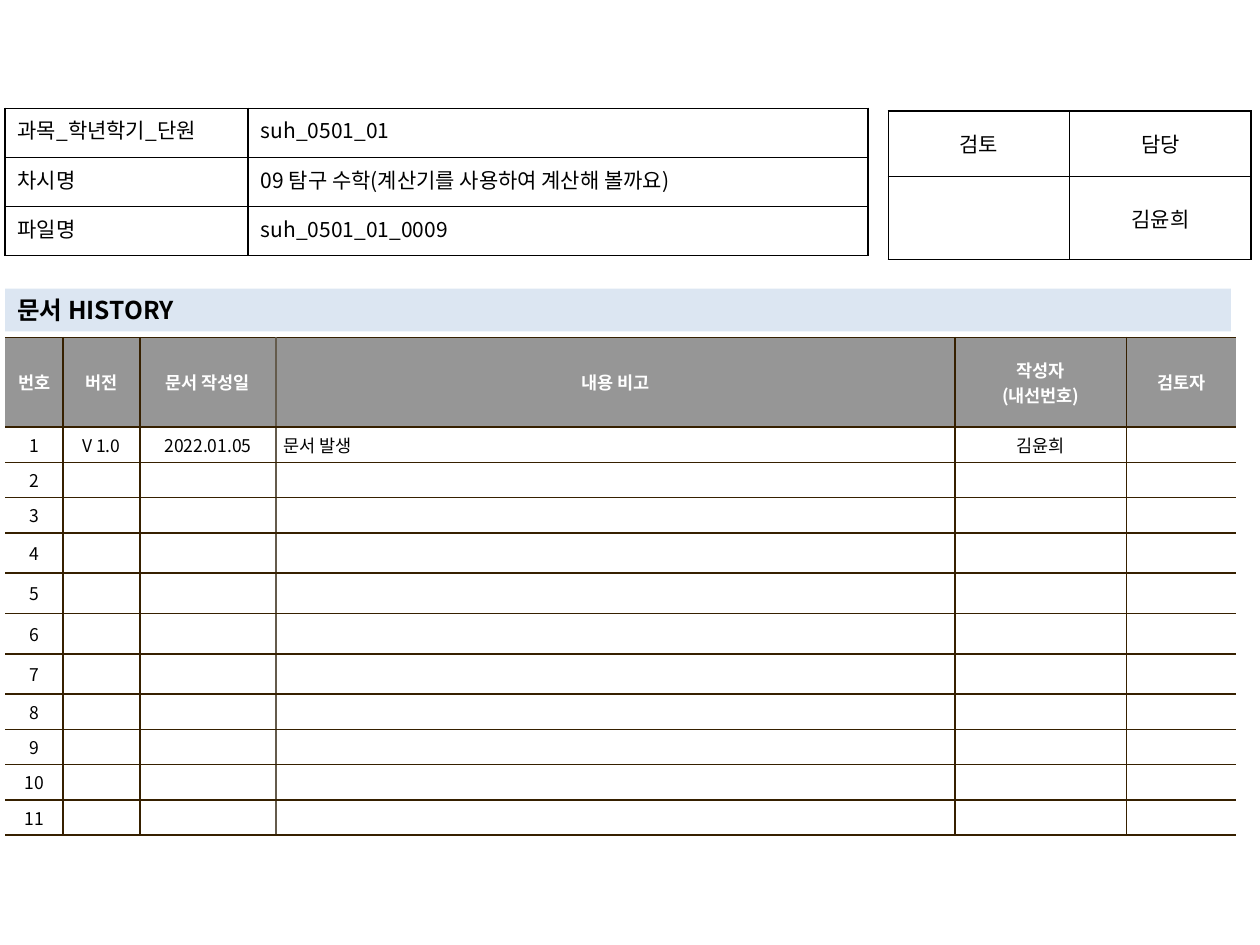
from lxml.etree import SubElement
from pptx import Presentation
from pptx.dml.color import RGBColor
from pptx.enum.shapes import MSO_SHAPE
from pptx.enum.text import MSO_ANCHOR as Anchor, PP_ALIGN as Align
from pptx.oxml.ns import qn
from pptx.oxml.xmlchemy import OxmlElement
from pptx.util import Inches, Pt

FONT = "Noto Sans CJK KR"
COLORS = {
    "black": "000000", "white": "FFFFFF", "header": "969696",
    "banner": "DCE6F2", "brown": "362000", "taupe": "645B4C",
}

BANNER = "문서 HISTORY"
LESSON = [
    ("과목_학년학기_단원", "suh_0501_01"),
    ("차시명", "09 탐구 수학(계산기를 사용하여 계산해 볼까요)"),
    ("파일명", "suh_0501_01_0009"),
]
APPROVAL = [("검토", "담당"), ("", "김윤희")]
HISTORY = [
    ("번호", "버전", "문서 작성일", "내용 비고", "작성자\n(내선번호)", "검토자"),
    ("1", "V 1.0", "2022.01.05", "문서 발생", "김윤희", ""),
] + [(str(number), "", "", "", "", "") for number in range(2, 12)]

LESSON_COLUMNS = [1.93, 4.92]
APPROVAL_COLUMNS = [1.44, 1.44]
HISTORY_COLUMNS = [0.46, 0.61, 1.08, 5.39, 1.36, 0.87]
LESSON_ROWS = [0.39] * 3
APPROVAL_ROWS = [0.52, 0.66]
HISTORY_ROWS = [0.71] + [0.28] * 3 + [0.32] * 4 + [0.28] * 4
NOTE_COLUMN = 3


def rgb(name):
    return RGBColor.from_string(COLORS[name])


def write(frame, text, size=12, color="black", bold=False, align=Align.LEFT):
    frame.word_wrap = True
    for index, line in enumerate(text.split("\n")):
        paragraph = frame.add_paragraph() if index else frame.paragraphs[0]
        paragraph.alignment = align
        if not line:
            paragraph._p.get_or_add_endParaRPr().set("sz", str(size * 100))
            continue
        run = paragraph.add_run()
        run.text = line
        run.font.size = Pt(size)
        run.font.bold = bold
        run.font.name = FONT
        run.font.color.rgb = rgb(color)
        SubElement(run._r.get_or_add_rPr(), qn("a:ea")).set("typeface", FONT)


def set_borders(cell, left, right, top, bottom):
    properties = cell._tc.get_or_add_tcPr()
    sides = zip(("a:lnL", "a:lnR", "a:lnT", "a:lnB"), (left, right, top, bottom))
    for position, (tag, color) in enumerate(sides):
        line = OxmlElement(tag)
        line.set("w", str(Pt(1)))
        if color:
            fill = SubElement(line, qn("a:solidFill"))
            SubElement(fill, qn("a:srgbClr")).set("val", COLORS[color])
        else:
            SubElement(line, qn("a:noFill"))
        properties.insert(position, line)


def add_grid(slide, left, top, columns, rows, content, style):
    frame = slide.shapes.add_table(
        len(rows), len(columns), Inches(left), Inches(top),
        Inches(sum(columns)), Inches(sum(rows)))
    table = frame.table
    table.first_row = table.horz_banding = False
    for column, width in zip(table.columns, columns):
        column.width = Inches(width)
    for row, height in zip(table.rows, rows):
        row.height = Inches(height)
    for row, texts in enumerate(content):
        for column, text in enumerate(texts):
            style(table.cell(row, column), row, column, text)


def style_lesson(cell, row, column, text):
    cell.fill.background()
    write(cell.text_frame, text, align=Align.LEFT if column else Align.JUSTIFY)
    set_borders(cell, *["black"] * 4)


def style_approval(cell, row, column, text):
    cell.fill.background()
    cell.vertical_anchor = Anchor.MIDDLE
    write(cell.text_frame, text, align=Align.CENTER)
    set_borders(cell, *["black"] * 4)


def style_history(cell, row, column, text):
    header = row == 0
    cell.fill.solid()
    cell.fill.fore_color.rgb = rgb("header" if header else "white")
    cell.vertical_anchor = Anchor.MIDDLE
    cell.margin_left = cell.margin_right = Inches(0.06)
    cell.margin_top = cell.margin_bottom = Inches(0.04)
    is_note = column == NOTE_COLUMN and not header
    write(cell.text_frame, text, size=10, bold=header,
          color="white" if header else "black",
          align=Align.LEFT if is_note else Align.CENTER)
    last = len(HISTORY_COLUMNS)
    edges = [None if edge in (0, last) else "taupe" if edge == NOTE_COLUMN else "brown"
             for edge in (column, column + 1)]
    set_borders(cell, *edges, "brown", "brown")


def add_banner(slide):
    banner = slide.shapes.add_shape(
        MSO_SHAPE.RECTANGLE, Inches(0.04), Inches(2.29), Inches(9.73), Inches(0.34))
    banner.shadow.inherit = False
    banner.fill.solid()
    banner.fill.fore_color.rgb = rgb("banner")
    banner.line.fill.background()
    banner.text_frame.vertical_anchor = Anchor.MIDDLE
    write(banner.text_frame, BANNER, size=14, bold=True)


def main():
    presentation = Presentation()
    presentation.slide_width, presentation.slide_height = Inches(10), Inches(7.5)
    slide = presentation.slides.add_slide(presentation.slide_layouts[6])
    add_grid(slide, 0.04, 2.68, HISTORY_COLUMNS, HISTORY_ROWS, HISTORY, style_history)
    add_grid(slide, 7.05, 0.88, APPROVAL_COLUMNS, APPROVAL_ROWS, APPROVAL, style_approval)
    add_banner(slide)
    add_grid(slide, 0.04, 0.86, LESSON_COLUMNS, LESSON_ROWS, LESSON, style_lesson)
    presentation.save("out.pptx")


if __name__ == "__main__":
    main()
